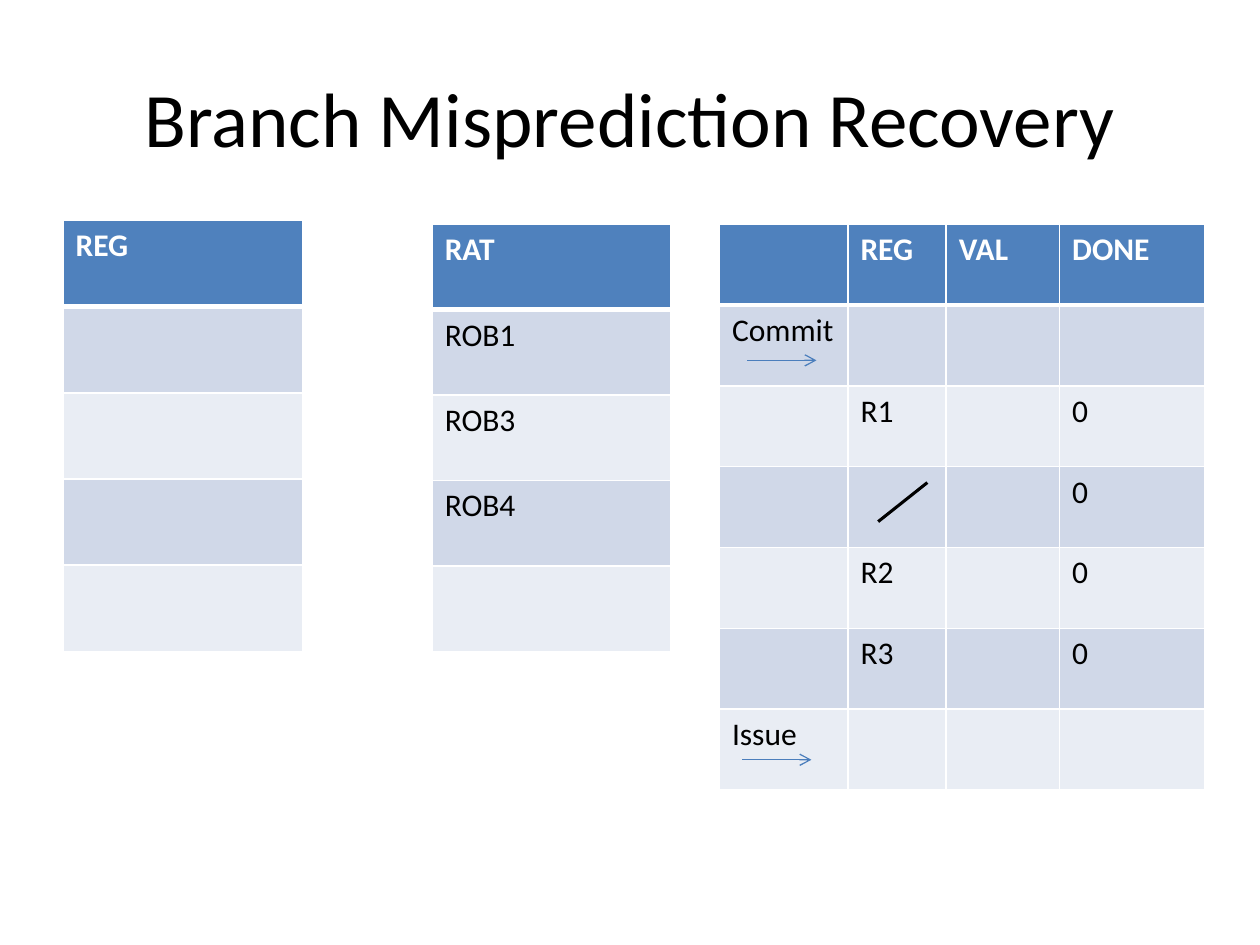
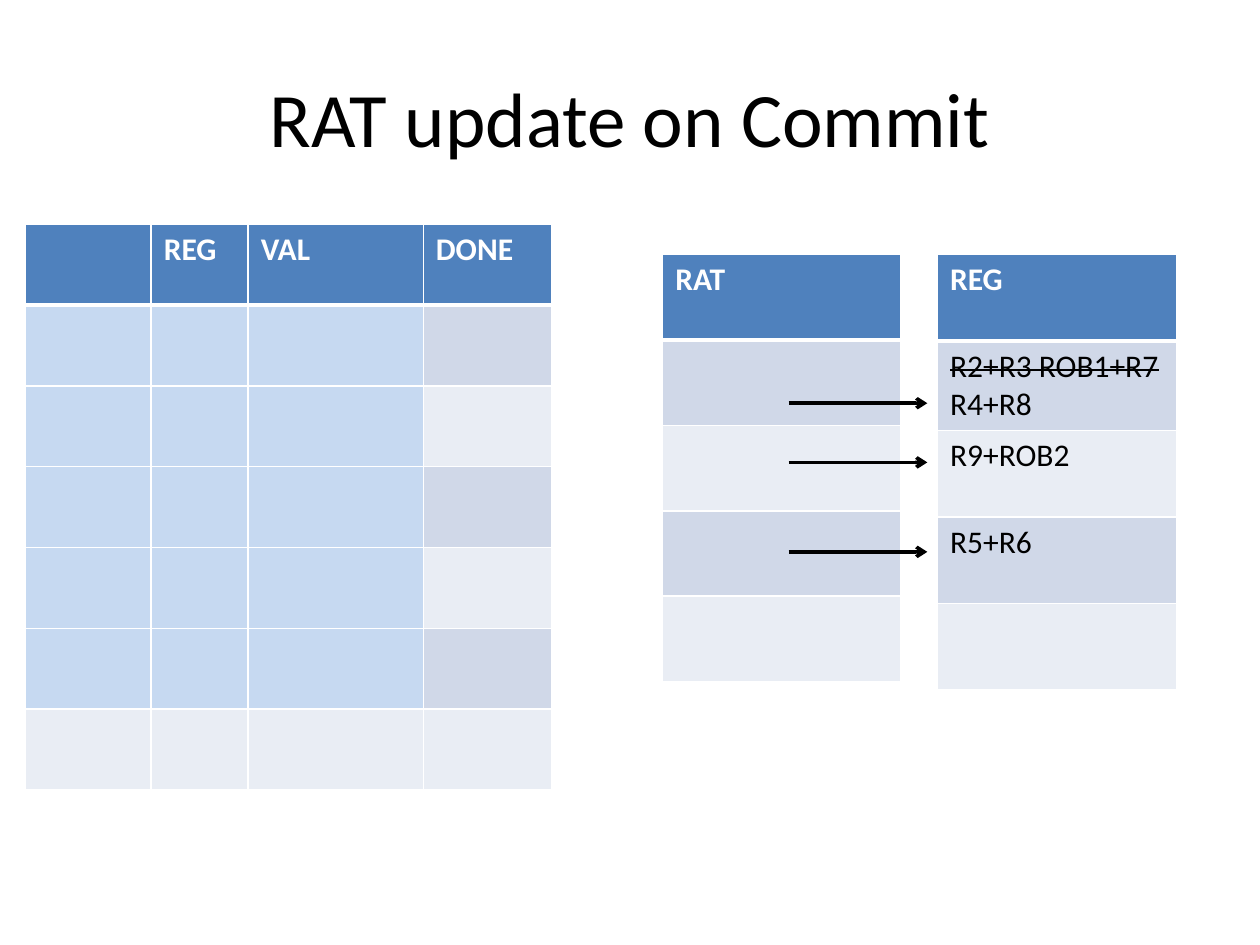
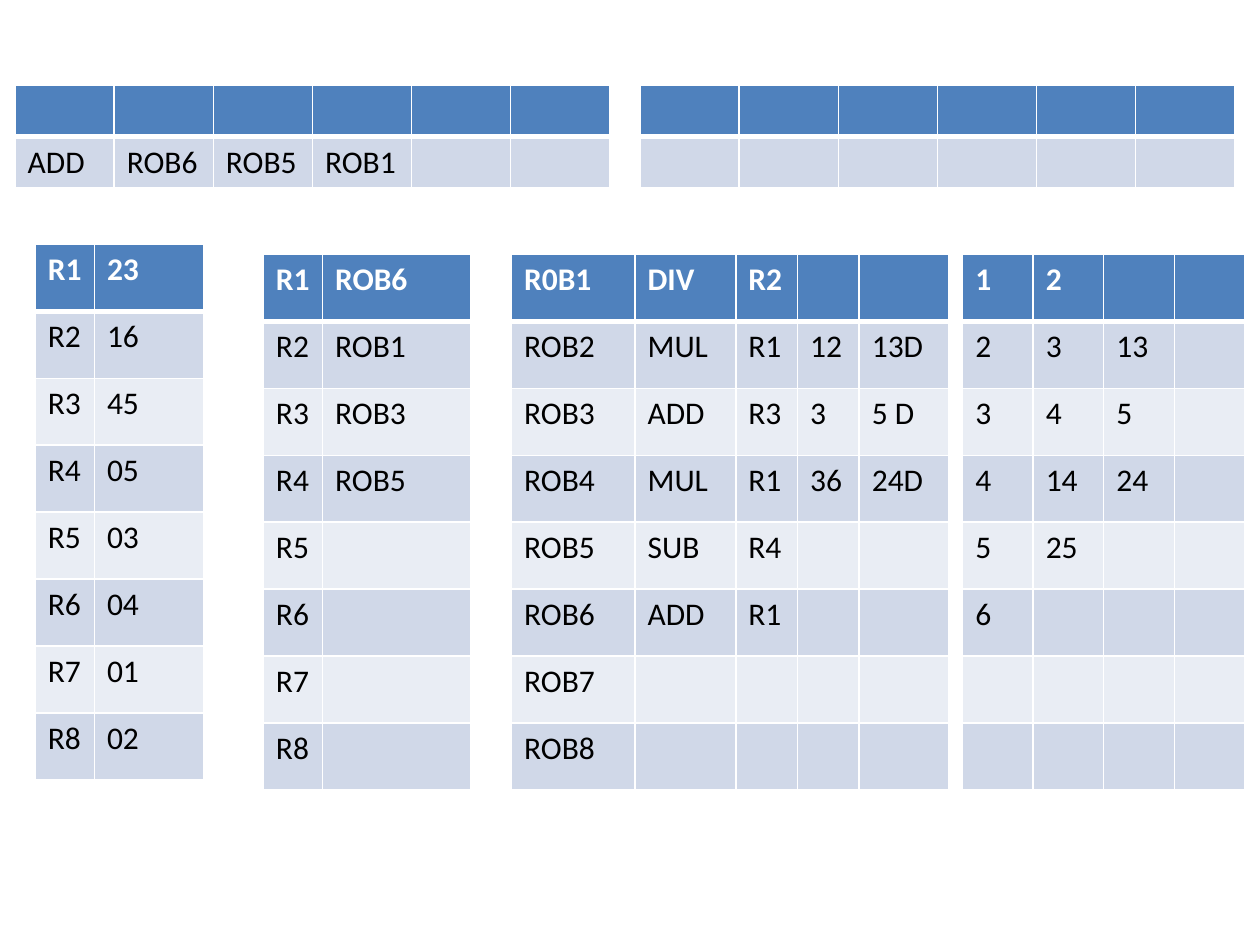
from pptx import Presentation
from pptx.dml.color import RGBColor
from pptx.enum.shapes import MSO_CONNECTOR as Connector
from pptx.enum.text import MSO_ANCHOR as Anchor, PP_ALIGN as Align
from pptx.oxml.ns import qn
from pptx.util import Inches, Pt
from lxml.etree import SubElement

FONT = "Calibri"
BLACK, WHITE = "000000", "FFFFFF"
HEADER, BANDS = "4F81BD", ("D0D8E8", "E9EDF4")
HIGHLIGHT, ACCENT = "C6D9F1", "4B7EBC"
TITLE_ONLY, BLANK = 5, 6


def rgb(code):
    return RGBColor.from_string(code)


def format_run(run, size, color, bold=False):
    run.font.name = FONT
    run.font.size = Pt(size)
    run.font.bold = bold
    run.font.color.rgb = rgb(color)


def add_title(slide, wording):
    title = slide.shapes.title
    title.left, title.top = Inches(0.5), Inches(0.3)
    title.width, title.height = Inches(9), Inches(1.25)
    title.text_frame.text = wording
    title.text_frame.vertical_anchor = Anchor.MIDDLE
    heading = title.text_frame.paragraphs[0]
    heading.alignment = Align.CENTER
    format_run(heading.runs[0], 44, BLACK)


def add_borders(cell, top, bottom):
    properties = cell._tc.get_or_add_tcPr()
    for side, points in (("L", 1), ("R", 1), ("T", top), ("B", bottom)):
        edge = SubElement(properties, qn(f"a:ln{side}"), w=str(Pt(points)))
        fill = SubElement(edge, qn("a:solidFill"))
        SubElement(fill, qn("a:srgbClr"), val=WHITE)


def add_grid(slide, left, top, height, columns, rows):
    frame = slide.shapes.add_table(
        len(rows), len(columns), Inches(left), Inches(top),
        Inches(sum(columns)), Inches(height))
    grid = frame.table
    grid.horz_banding = False
    for column, width in zip(grid.columns, columns):
        column.width = Inches(width)
    for r, entries in enumerate(rows):
        grid.rows[r].height = Inches(height / len(rows))
        for c in range(len(columns)):
            cell = grid.cell(r, c)
            add_borders(cell, 3 if r == 1 else 1, 3 if r == 0 else 1)
            cell.fill.solid()
            cell.fill.fore_color.rgb = rgb(BANDS[(r - 1) % 2] if r else HEADER)
            if c < len(entries) and entries[c]:
                cell.text_frame.text = entries[c]
                for paragraph in cell.text_frame.paragraphs:
                    format_run(paragraph.runs[0], 18,
                               BLACK if r else WHITE, bold=r == 0)
    return grid


def add_line(slide, start, end, color, weight, arrow=True):
    line = slide.shapes.add_connector(
        Connector.STRAIGHT, *(Inches(v) for v in (*start, *end)))
    line.line.color.rgb = rgb(color)
    line.line.width = Pt(weight)
    if arrow:
        SubElement(line.line._get_or_add_ln(), qn("a:tailEnd"), type="arrow")
    SubElement(line._element.spPr, qn("a:effectLst"))


def add_column(slide, left, top, width, height, entries):
    return add_grid(slide, left, top, height, [width], [[e] for e in entries])


def add_reorder_buffer(slide, left, top, columns, rows):
    return add_grid(slide, left, top, 4.49, columns,
                    [["", "REG", "VAL", "DONE"], *rows])


def add_pending_buffer(slide, left, top):
    add_reorder_buffer(slide, left, top, [1.02, 0.78, 0.9, 1.15], [
        ["Commit"],
        ["", "R1", "", "0"],
        ["", "", "", "0"],
        ["", "R2", "", "0"],
        ["", "R3", "", "0"],
        ["Issue"],
    ])
    for x, y in ((0.22, 1.08), (0.18, 4.25)):
        add_line(slide, (left + x, top + y), (left + x + 0.55, top + y),
                 ACCENT, 0.75)
    add_line(slide, (left + 1.26, top + 2.36), (left + 1.65, top + 2.05),
             BLACK, 1.75, arrow=False)


def add_committed_buffer(slide, left, top):
    buffer = add_reorder_buffer(slide, left, top, [1, 0.77, 1.39, 1.02],
                                [[]] * 6)
    for r in range(1, 6):
        for c in range(3):
            buffer.cell(r, c).fill.fore_color.rgb = rgb(HIGHLIGHT)


def add_commit_targets(slide, left, top):
    registers = add_column(
        slide, left + 2.18, top, 1.9, 3.43,
        ["REG", "R2+R3 ROB1+R7\nR4+R8", "R9+ROB2", "R5+R6", ""])
    replaced = registers.cell(1, 0).text_frame.paragraphs[0].runs[0]
    replaced._r.get_or_add_rPr().set("strike", "sngStrike")
    add_column(slide, left, top, 1.89, 3.39, ["RAT", "", "", "", ""])
    for y in (1.18, 1.65, 2.36):
        add_line(slide, (left + 1, top + y), (left + 2.1, top + y), BLACK, 2)


def add_station(slide, left, top, entries):
    add_grid(slide, left, top, 0.81, [4.72 / 6] * 6, [[], entries])


def add_register_table(slide, left, top, value_width, values):
    rows = [[f"R{n}", value] for n, value in enumerate(values, 1)]
    add_grid(slide, left, top, 4.25, [0.47, value_width], rows)


def add_instruction_tables(slide, left, top):
    add_grid(slide, left, top, 4.25, [0.98, 0.8, 0.49, 0.49, 0.71], [
        ["R0B1", "DIV", "R2"],
        ["ROB2", "MUL", "R1", "12", "13D"],
        ["ROB3", "ADD", "R3", "3", "5 D"],
        ["ROB4", "MUL", "R1", "36", "24D"],
        ["ROB5", "SUB", "R4"],
        ["ROB6", "ADD", "R1"],
        ["ROB7"],
        ["ROB8"],
    ])
    add_grid(slide, left + 3.58, top, 4.25, [0.56] * 4, [
        ["1", "2"],
        ["2", "3", "13"],
        ["3", "4", "5"],
        ["4", "14", "24"],
        ["5", "25"],
        ["6"],
        [],
        [],
    ])


def build_recovery(deck):
    slide = deck.slides.add_slide(deck.slide_layouts[TITLE_ONLY])
    add_title(slide, "Branch Misprediction Recovery")
    add_column(slide, 0.5, 1.75, 1.9, 3.42, ["REG", "", "", "", ""])
    add_column(slide, 3.43, 1.78, 1.89, 3.39,
               ["RAT", "ROB1", "ROB3", "ROB4", ""])
    add_pending_buffer(slide, 5.71, 1.78)


def build_commit(deck):
    slide = deck.slides.add_slide(deck.slide_layouts[TITLE_ONLY])
    add_title(slide, "RAT update on Commit")
    add_committed_buffer(slide, 0.2, 1.78)
    add_commit_targets(slide, 5.26, 2.02)


def build_example(deck):
    slide = deck.slides.add_slide(deck.slide_layouts[BLANK])
    add_station(slide, 0.12, 0.68, ["ADD", "ROB6", "ROB5", "ROB1"])
    add_station(slide, 5.08, 0.68, [])
    add_register_table(slide, 0.28, 1.94, 0.87,
                       ["23", "16", "45", "05", "03", "04", "01", "02"])
    add_register_table(slide, 2.09, 2.02, 1.18,
                       ["ROB6", "ROB1", "ROB3", "ROB5", "", "", "", ""])
    add_instruction_tables(slide, 4.06, 2.02)


def main():
    deck = Presentation()
    deck.slide_width, deck.slide_height = Inches(10), Inches(7.5)
    build_recovery(deck)
    build_commit(deck)
    build_example(deck)
    deck.save("out.pptx")


if __name__ == "__main__":
    main()
